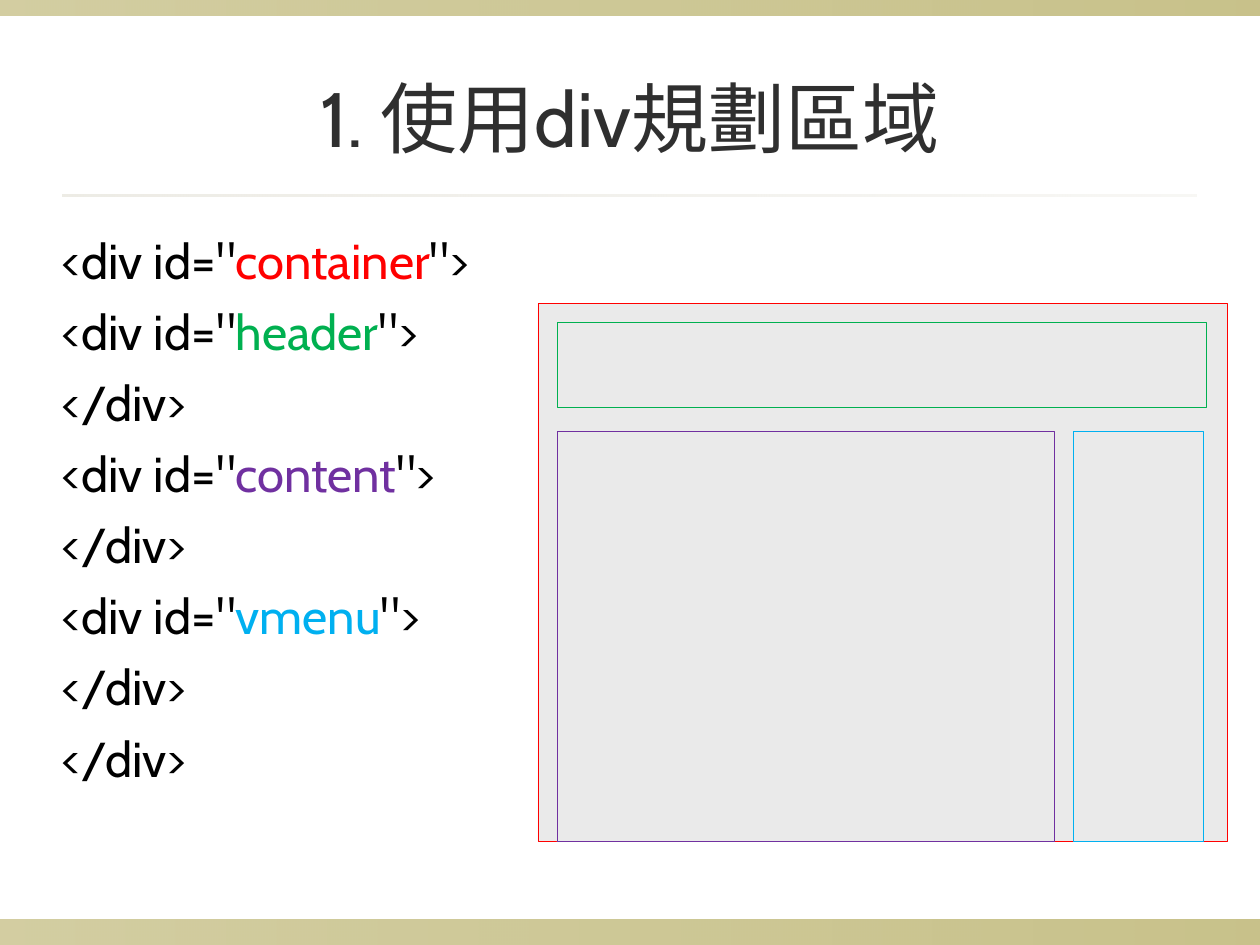
from lxml import etree
from pptx import Presentation, util as u
from pptx.dml.color import RGBColor
from pptx.enum import shapes, text
from pptx.oxml.ns import qn

BLACK = RGBColor(0x00, 0x00, 0x00)
CHARCOAL = RGBColor(0x2F, 0x2F, 0x2F)
OLIVE = RGBColor(0x91, 0x84, 0x15)
SAND = RGBColor(0xDC, 0xD9, 0xCC)
GRAY = RGBColor(0xEA, 0xEA, 0xEA)
RED = RGBColor(0xFF, 0x00, 0x00)
GREEN = RGBColor(0x00, 0xB0, 0x50)
PURPLE = RGBColor(0x70, 0x30, 0xA0)
BLUE = RGBColor(0x00, 0xB0, 0xF0)
FONT = "Cabin"
WIDTH, HEIGHT = 10, 7.5

# Content
TITLE = "1. 使用div規劃區域"
OPEN, CLOSE_QUOTE, END = '<div id="', '">', "</div>"
ID_COLORS = {"container": RED, "header": GREEN, "content": PURPLE, "vmenu": BLUE}
CODE_LINES = ["container", "header", END, "content", END, "vmenu", END, END]

# Bands: left, top, width, height, colour, opacity in percent at both ends
BANDS = [
    (0, HEIGHT - 0.2, WIDTH, 0.2, OLIVE, (40, 50)),
    (0, 0, WIDTH, 0.12, OLIVE, (40, 50)),
    (0.5, 1.54, 0.9 * WIDTH, 0.02, SAND, (50, 20)),
]

# Page layout diagram: the inner boxes stand one gap inside the container
LEFT, TOP, BOX_WIDTH, BOX_HEIGHT, GAP = 4.27, 2.41, 5.47, 4.27, 0.15
HEADER_HEIGHT, CONTENT_WIDTH, MENU_WIDTH = 0.67, 3.95, 1.03
INNER_LEFT, INNER_TOP = LEFT + GAP, TOP + GAP
BODY_TOP = INNER_TOP + HEADER_HEIGHT + 0.19
BODY_HEIGHT = TOP + BOX_HEIGHT - BODY_TOP
REGIONS = {
    "container": (LEFT, TOP, BOX_WIDTH, BOX_HEIGHT),
    "header": (INNER_LEFT, INNER_TOP, BOX_WIDTH - 0.32, HEADER_HEIGHT),
    "content": (INNER_LEFT, BODY_TOP, CONTENT_WIDTH, BODY_HEIGHT),
    "vmenu": (INNER_LEFT + CONTENT_WIDTH + GAP, BODY_TOP, MENU_WIDTH, BODY_HEIGHT),
}


def apply(target, **values):
    for name, value in values.items():
        setattr(target, name, value)


def add_run(paragraph, words, size, color):
    run = paragraph.add_run()
    run.text = words
    apply(run.font, name=FONT, size=u.Pt(size))
    run.font.color.rgb = color


def add_rectangle(slide, box):
    shape = slide.shapes.add_shape(shapes.MSO_SHAPE.RECTANGLE, *map(u.Inches, box))
    shape.shadow.inherit = False
    return shape


def add_band(slide, box, color, opacities):
    shape = add_rectangle(slide, box)
    shape.line.fill.background()
    shape.fill.gradient()
    shape.fill.gradient_angle = 0
    for stop, position in zip(shape.fill.gradient_stops, (0, 1)):
        stop.color.rgb = color
        stop.position = position
    for node, opacity in zip(shape._element.spPr.iter(qn("a:srgbClr")), opacities):
        etree.SubElement(node, qn("a:alpha")).set("val", str(opacity * 1000))


def add_title(slide):
    title = slide.shapes.title
    apply(title, left=u.Inches(0.5), top=u.Inches(0.3),
          width=u.Inches(9), height=u.Inches(1.25))
    apply(title.text_frame, vertical_anchor=text.MSO_ANCHOR.MIDDLE,
          auto_size=text.MSO_AUTO_SIZE.NONE, word_wrap=True)
    paragraph = title.text_frame.paragraphs[0]
    paragraph.alignment = text.PP_ALIGN.CENTER
    add_run(paragraph, TITLE, 44, CHARCOAL)


def add_code(slide):
    frame = slide.shapes.add_textbox(*map(u.Inches, (0.39, 1.78, 9, 5.13))).text_frame
    frame.word_wrap = True
    for index, line in enumerate(CODE_LINES):
        paragraph = frame.add_paragraph() if index else frame.paragraphs[0]
        if index:
            paragraph.space_before = u.Pt(7)
        pieces = [END] if line == END else [OPEN, line, CLOSE_QUOTE]
        for piece in pieces:
            add_run(paragraph, piece, 28, ID_COLORS.get(piece, BLACK))


def main():
    presentation = Presentation()
    apply(presentation, slide_width=u.Inches(WIDTH), slide_height=u.Inches(HEIGHT))
    slide = presentation.slides.add_slide(presentation.slide_layouts[5])

    # Bands and rule
    for *box, color, opacities in BANDS:
        add_band(slide, box, color, opacities)

    # Title and markup
    add_title(slide)
    add_code(slide)

    # Page regions, each outlined in the colour of its id
    for name, box in REGIONS.items():
        shape = add_rectangle(slide, box)
        shape.fill.solid()
        shape.fill.fore_color.rgb = GRAY
        shape.line.color.rgb = ID_COLORS[name]
        shape.line.width = u.Pt(0.25)

    presentation.save("out.pptx")


if __name__ == "__main__":
    main()
